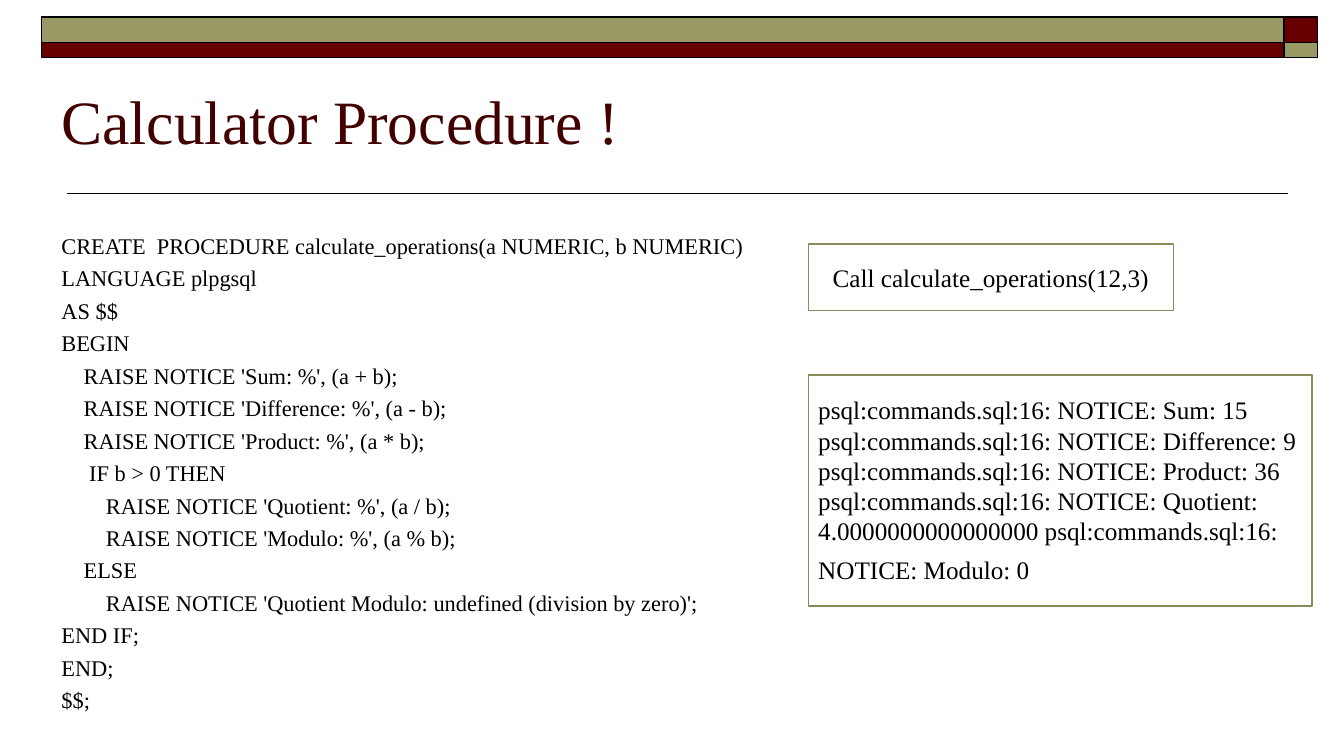
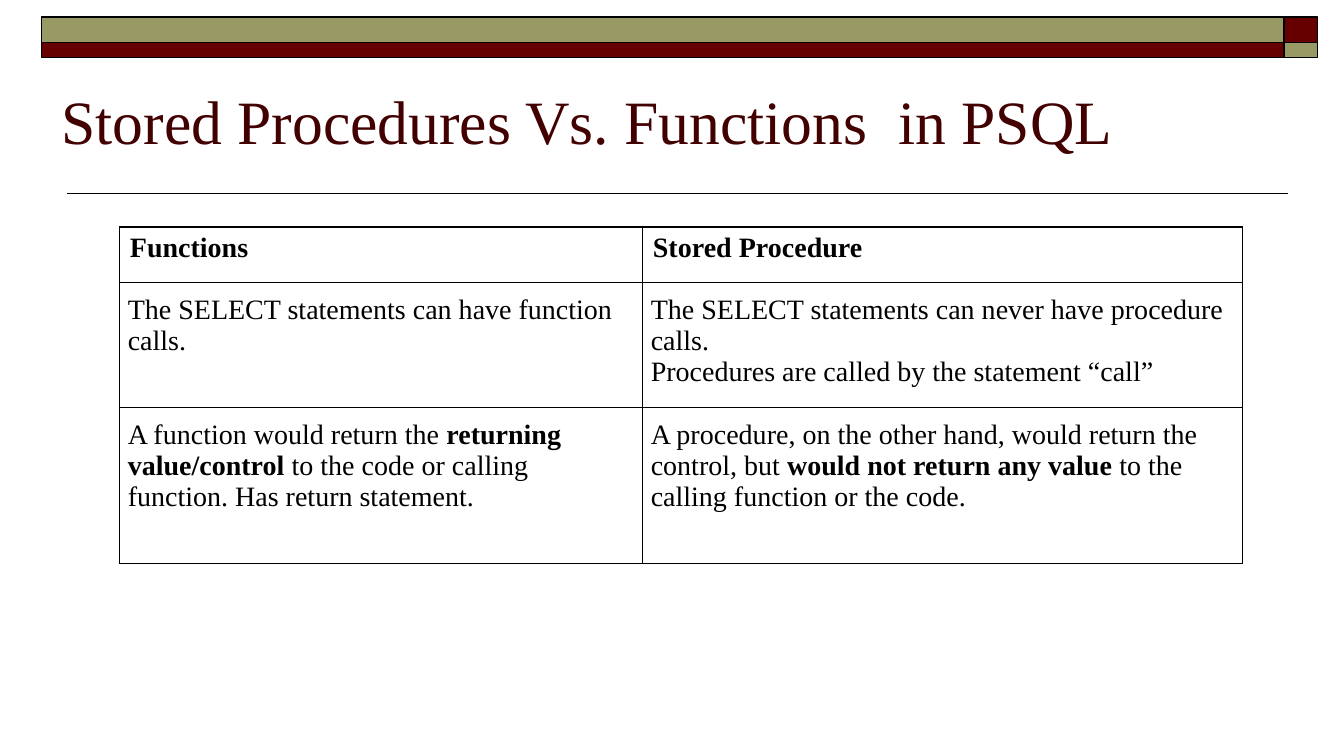
from lxml.etree import SubElement
from pptx import Presentation
from pptx.dml.color import RGBColor
from pptx.enum.shapes import MSO_CONNECTOR, MSO_SHAPE
from pptx.enum.text import MSO_ANCHOR as ANCHOR, PP_ALIGN as ALIGN
from pptx.oxml import parse_xml
from pptx.oxml.ns import nsdecls, qn
from pptx.util import Cm, Pt

FONT = "Times New Roman"
BLACK = RGBColor(0x00, 0x00, 0x00)
WHITE = RGBColor(0xFF, 0xFF, 0xFF)
MAROON = RGBColor(0x66, 0x00, 0x00)
OLIVE = RGBColor(0x99, 0x99, 0x66)
BOX_EDGE = RGBColor(0x8A, 0x8A, 0x5C)
TITLE_RED = RGBColor(0x42, 0x00, 0x00)

LEFT, TEXT_W = 1.3, 30.48
BAND_X = (1.04, 32.36, 33.2)
BAND_Y = (0.43, 1.07, 1.45)
INDENT = 0.14  # width of one code column


def style(p, size, color=BLACK, bold=False):
    p.font.name = FONT
    p.font.size = Pt(size)
    p.font.color.rgb = color
    p.font.bold = bold


def add_titled_slide(title):
    """Add a slide with the two-tone band, the title and the rule below it."""
    s = prs.slides.add_slide(prs.slide_layouts[6])
    for row in range(2):
        for col in range(2):
            x, y = BAND_X[col], BAND_Y[row]
            sp = s.shapes.add_shape(MSO_SHAPE.RECTANGLE, Cm(x), Cm(y),
                                    Cm(BAND_X[col + 1] - x), Cm(BAND_Y[row + 1] - y))
            sp.shadow.inherit = False
            sp.fill.solid()
            sp.fill.fore_color.rgb = OLIVE if row == col else MAROON
            sp.line.color.rgb = BLACK
            sp.line.width = Pt(1)
    rule = s.shapes.add_connector(MSO_CONNECTOR.STRAIGHT, Cm(1.7), Cm(4.88), Cm(32.46), Cm(4.88))
    rule.line.color.rgb = BLACK
    rule.line.width = Pt(1)
    SubElement(rule._element.spPr, qn("a:effectLst"))

    tf = s.shapes.add_textbox(Cm(LEFT), Cm(0.89), Cm(TEXT_W), Cm(3.18)).text_frame
    tf.word_wrap = True
    tf.vertical_anchor = ANCHOR.BOTTOM
    tf.text = title
    style(tf.paragraphs[0], 44, TITLE_RED)
    return s


prs = Presentation()
prs.slide_width, prs.slide_height = Cm(33.87), Cm(19.05)

# Slide 1: procedure source, its call and its output
s = add_titled_slide("Calculator Procedure !")

CODE = [  # (indent in columns, line)
    (0, "CREATE  PROCEDURE calculate_operations(a NUMERIC, b NUMERIC)"),
    (0, "LANGUAGE plpgsql"),
    (0, "AS $$"),
    (0, "BEGIN"),
    (4, "RAISE NOTICE 'Sum: %', (a + b);"),
    (4, "RAISE NOTICE 'Difference: %', (a - b);"),
    (4, "RAISE NOTICE 'Product: %', (a * b);"),
    (5, "IF b > 0 THEN"),
    (8, "RAISE NOTICE 'Quotient: %', (a / b);"),
    (8, "RAISE NOTICE 'Modulo: %', (a % b);"),
    (4, "ELSE"),
    (8, "RAISE NOTICE 'Quotient Modulo: undefined (division by zero)';"),
    (0, "END IF;"),
    (0, "END;"),
    (0, "$$;"),
]
tf = s.shapes.add_textbox(Cm(LEFT), Cm(5.72), Cm(TEXT_W), Cm(11.61)).text_frame
tf.word_wrap = True
tf.text = "\n".join(line for _, line in CODE)
for p, (columns, _) in zip(tf.paragraphs, CODE):
    style(p, 16)
    p.space_before = Pt(4)
    p._p.get_or_add_pPr().set("marL", str(Cm(columns * INDENT)))

RESULTS = ["Sum: 15", "Difference: 9", "Product: 36", "Quotient: 4.0000000000000000", "Modulo: 0"]
output = " ".join(f"psql:commands.sql:16: NOTICE: {result}" for result in RESULTS)
for text, y, w, h, align in [
    ("Call calculate_operations(12,3)", 6.15, 9.2, 1.68, ALIGN.CENTER),
    (output, 9.45, 12.7, 5.82, ALIGN.LEFT),
]:
    sp = s.shapes.add_shape(MSO_SHAPE.RECTANGLE, Cm(20.37), Cm(y), Cm(w), Cm(h))
    sp.shadow.inherit = False
    sp.fill.solid()
    sp.fill.fore_color.rgb = WHITE
    sp.line.color.rgb = BOX_EDGE
    sp.line.width = Pt(1)
    tf = sp.text_frame
    tf.word_wrap = True
    tf.vertical_anchor = ANCHOR.MIDDLE
    tf.text = text
    p = tf.paragraphs[0]
    p.alignment = align
    style(p, 18)
# The larger closing space makes the last output line taller
r = p.add_run()
r.text = " "
r.font.size = Pt(24)

# Slide 2: comparison table
s = add_titled_slide("Stored Procedures Vs. Functions  in PSQL")

ROWS = [  # cell > paragraph > runs, every second run is bold
    [[["Functions"]], [["Stored Procedure"]]],
    [[["The SELECT statements can have function calls."]],
     [["The SELECT statements can never have procedure calls."],
      ["Procedures are called by the statement “call”"]]],
    [[["A function would return the ", "returning value/control ",
       "to the code or calling function. Has return statement."]],
     [["A procedure, on the other hand, would return the control, but ",
       "would not return any value", " to the calling function or the code."]]],
]
COL_W = (13.18, 15.11)
ROW_H = (1.4, 3, 3.94)
table = s.shapes.add_table(len(ROW_H), len(COL_W), Cm(3.02), Cm(5.72),
                           Cm(sum(COL_W)), Cm(sum(ROW_H))).table
table.first_row = table.horz_banding = False
for column, w in zip(table.columns, COL_W):
    column.width = Cm(w)
for row, h in zip(table.rows, ROW_H):
    row.height = Cm(h)

for i, row in enumerate(ROWS):
    for j, paragraphs in enumerate(row):
        cell = table.cell(i, j)
        tcPr = cell._tc.get_or_add_tcPr()
        for side in "LRTB":
            tcPr.append(parse_xml(
                f'<a:ln{side} {nsdecls("a")} w="{Pt(1)}"><a:solidFill>'
                f'<a:srgbClr val="{BLACK}"/></a:solidFill></a:ln{side}>'))
        cell.fill.solid()
        cell.fill.fore_color.rgb = WHITE
        if i > 0:
            cell.margin_left = cell.margin_right = Cm(0.2)
            cell.margin_top = cell.margin_bottom = Cm(0.3)
        tf = cell.text_frame
        for k, runs in enumerate(paragraphs):
            p = tf.add_paragraph() if k else tf.paragraphs[0]
            style(p, 20, bold=i == 0)
            for n, text in enumerate(runs):
                r = p.add_run()
                r.text = text
                if n % 2:
                    r.font.bold = True

prs.save("out.pptx")
